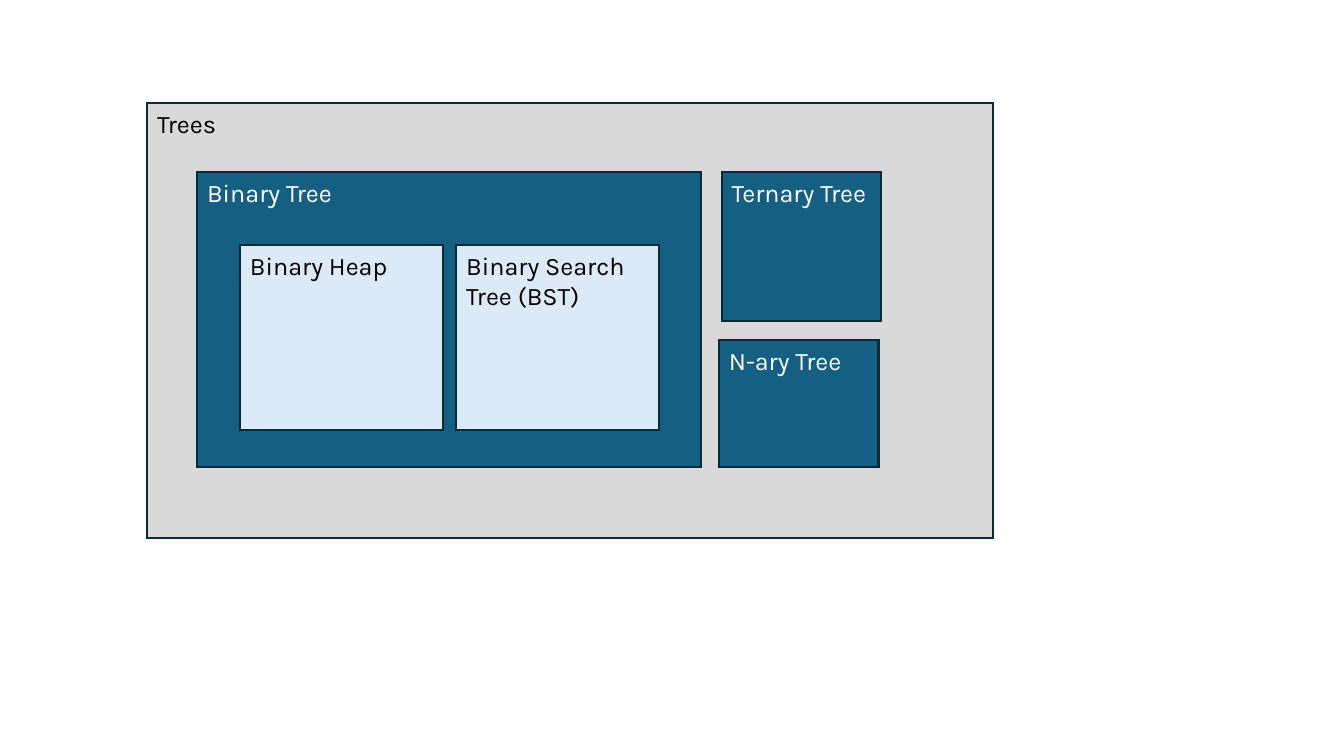
from dataclasses import dataclass

from lxml.etree import SubElement
from pptx import Presentation
from pptx.dml.color import RGBColor
from pptx.enum.shapes import MSO_SHAPE as Shape
from pptx.enum.text import MSO_ANCHOR as Anchor, PP_ALIGN as Align
from pptx.oxml.ns import qn
from pptx.slide import Slide
from pptx.util import Cm, Pt

COLOURS = {
    "outline": "092A39",
    "grey": "D9D9D9",
    "teal": "156082",
    "pale": "DCEAF7",
    "black": "000000",
    "white": "FFFFFF",
}
FONT_FORMAT = {"name": "Karla", "size": Pt(18)}
FRAME_FORMAT = {"word_wrap": True, "vertical_anchor": Anchor.TOP}


@dataclass(frozen=True)
class TreeBox:
    """A labelled set in the diagram, measured in centimetres."""
    label: str
    left: float
    top: float
    width: float
    height: float
    fill: str
    text: str


# Shared rows and sizes
FAMILY_TOP, FAMILY_WIDTH = 4.34, 4.02
KIND_LEFT, KIND_TOP, KIND_WIDTH, KIND_HEIGHT, KIND_STEP = 6.05, 6.18, 5.11, 4.65, 5.45

# Outer set, tree families, then the kinds of binary tree
BOXES = [
    TreeBox("Trees", 3.71, 2.6, 21.31, 10.95, "grey", "black"),
    TreeBox("Binary Tree", 4.97, FAMILY_TOP, 12.7, 7.44, "teal", "white"),
    TreeBox("Ternary Tree", 18.19, FAMILY_TOP, FAMILY_WIDTH, 3.76, "teal", "white"),
    TreeBox("N-ary Tree", 18.12, 8.57, FAMILY_WIDTH, 3.21, "teal", "white"),
] + [
    TreeBox(label, KIND_LEFT + index * KIND_STEP, KIND_TOP,
            KIND_WIDTH, KIND_HEIGHT, "pale", "black")
    for index, label in enumerate(["Binary Heap", "Binary Search Tree (BST)"])
]


def colour(name: str) -> RGBColor:
    return RGBColor.from_string(COLOURS[name])


def apply_format(target: object, values: dict) -> None:
    for name, value in values.items():
        setattr(target, name, value)


def draw_box(slide: Slide, box: TreeBox) -> None:
    shape = slide.shapes.add_shape(
        Shape.RECTANGLE, Cm(box.left), Cm(box.top), Cm(box.width), Cm(box.height))
    shape.shadow.inherit = False
    shape.fill.solid()
    shape.fill.fore_color.rgb = colour(box.fill)

    # Outline with sharp corners
    shape.line.color.rgb = colour("outline")
    shape.line.width = Pt(1.5)
    outline = shape.element.spPr.find(qn("a:ln"))
    SubElement(outline, qn("a:miter"), lim="800000")

    # Label in the top left corner
    apply_format(shape.text_frame, FRAME_FORMAT)
    paragraph = shape.text_frame.paragraphs[0]
    paragraph.alignment = Align.LEFT
    run = paragraph.add_run()
    run.text = box.label
    apply_format(run.font, FONT_FORMAT)
    run.font.color.rgb = colour(box.text)


def main() -> None:
    presentation = Presentation()
    presentation.slide_width = Cm(33.87)
    presentation.slide_height = Cm(19.05)
    slide = presentation.slides.add_slide(presentation.slide_layouts[6])
    for box in BOXES:
        draw_box(slide, box)
    presentation.save("out.pptx")


if __name__ == "__main__":
    main()
